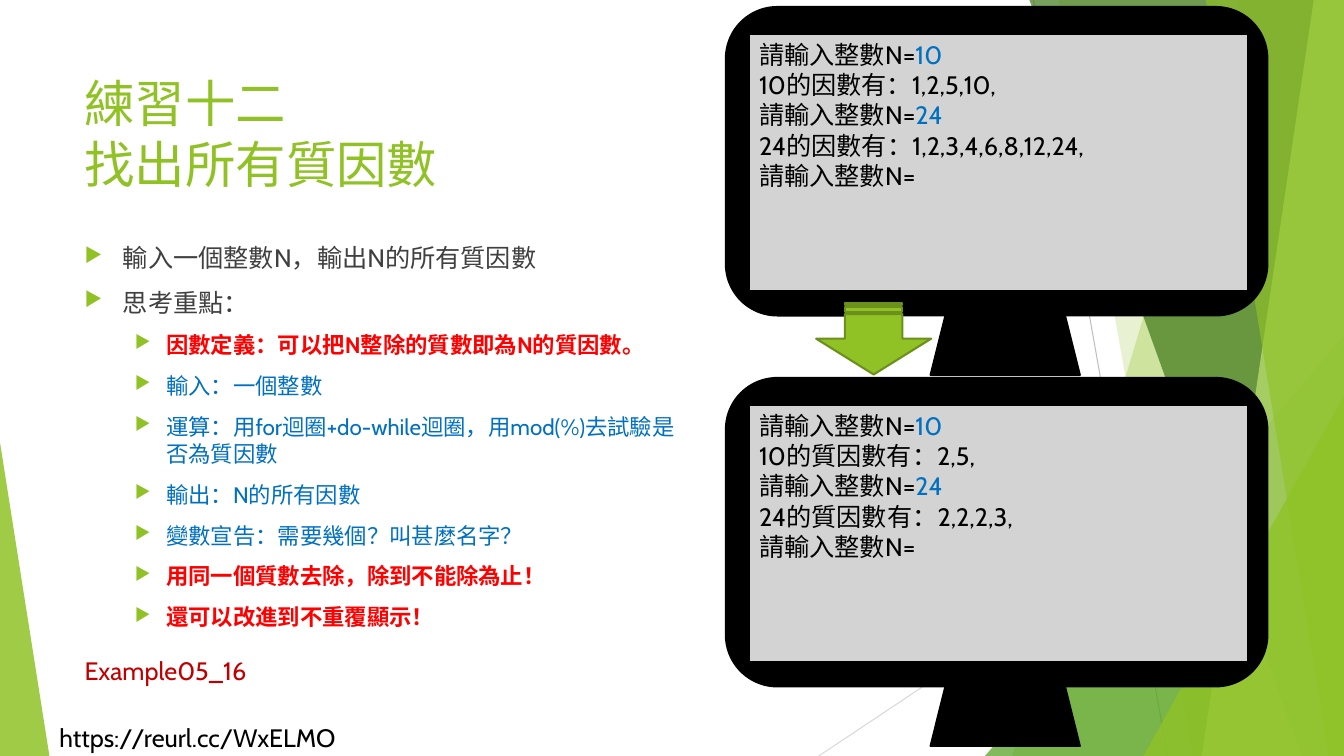
from lxml.etree import SubElement
from pptx import Presentation
from pptx.dml.color import RGBColor
from pptx.enum.shapes import MSO_CONNECTOR, MSO_SHAPE
from pptx.enum.text import MSO_ANCHOR, PP_ALIGN
from pptx.oxml.ns import qn
from pptx.util import Inches, Pt

WIDE, HIGH = 13.33, 7.5
LIME, BLACK, GRAY = "90C226", "000000", "404040"
BLUE, RED = "0070C0", "FF0000"


def color(code):
    return RGBColor.from_string(code)


def paint(shape, fill, alpha=100, line=None):
    shape.shadow.inherit = False
    shape.fill.solid()
    shape.fill.fore_color.rgb = color(fill)
    if alpha < 100:
        tint = shape.fill._xPr.find(qn("a:solidFill"))[0]
        SubElement(tint, qn("a:alpha"), val=str(alpha * 1000))
    if line:
        shape.line.color.rgb = color(line)
        shape.line.width = Pt(1.5)
    else:
        shape.line.fill.background()


def preset(slide, kind, box, fill, alpha=100, line=None):
    shape = slide.shapes.add_shape(kind, *map(Inches, box))
    paint(shape, fill, alpha, line)
    return shape


def style(para, size, code, bold=False):
    font = para.font
    font.name, font.size, font.bold = "Cabin", Pt(size), bold
    font.color.rgb = color(code)


def label(slide, box, text, size, code, wrap=False):
    frame = slide.shapes.add_textbox(*map(Inches, box)).text_frame
    frame.word_wrap = wrap
    para = frame.paragraphs[0]
    para.text = text
    style(para, size, code)


def bullet(para, left, hang):
    props = para._p.get_or_add_pPr()
    props.set("marL", str(Inches(left)))
    props.set("indent", str(-Inches(hang)))
    tint = SubElement(props, qn("a:buClr"))
    SubElement(tint, qn("a:srgbClr"), val=LIME)
    SubElement(props, qn("a:buSzPct"), val="80000")
    SubElement(props, qn("a:buChar"), char="▶")


def backdrop(slide):
    """Thin lines and translucent green facets at both edges."""
    for x1, y1, x2, y2, code in (
        (10.25, 0, 11.58, HIGH, "BFBFBF"),
        (WIDE, 4.03, 8.12, HIGH, "D9D9D9"),
    ):
        line = slide.shapes.add_connector(
            MSO_CONNECTOR.STRAIGHT, *map(Inches, (x1, y1, x2, y2)))
        line.line.color.rgb = color(code)
        line.line.width = Pt(0.75)
        SubElement(line._element.spPr, qn("a:effectLst"))

    def facet(top, base, code, alpha):
        """Fill from a slanted left side to the right edge of the slide."""
        pen = slide.shapes.build_freeform(Inches(top), 0)
        pen.add_line_segments([(Inches(x), Inches(y)) for x, y in (
            (WIDE, 0), (WIDE, HIGH), (base, HIGH))])
        paint(pen.convert_to_shape(), code, alpha)

    def wedge(left, top, width, peak, code, alpha):
        """Triangle standing on the bottom edge of the slide."""
        shape = preset(slide, MSO_SHAPE.ISOSCELES_TRIANGLE,
                       (left, top, width, HIGH - top), code, alpha)
        shape.adjustments[0] = peak

    facet(12.28, 10.04, LIME, 30)
    facet(10.5, 11.83, LIME, 20)
    wedge(9.77, 3.33, 3.56, 1, "54A021", 72)
    facet(10.21, 12.91, "3F7819", 70)
    facet(13.03, 11.92, "C0E474", 70)
    facet(11.96, 13.18, LIME, 65)
    wedge(11.34, 3.93, 1.99, 1, LIME, 80)
    wedge(0, 4.39, 0.49, 0, LIME, 85)


def outline(slide, box, items):
    """Bulleted list of (level, text, colour, bold) items."""
    frame = slide.shapes.add_textbox(*map(Inches, box)).text_frame
    frame.word_wrap = True
    for i, (level, text, code, bold) in enumerate(items):
        para = frame.add_paragraph() if i else frame.paragraphs[0]
        para.text = text
        para.level = level
        if i:
            para.space_before = Pt(10)
        bullet(para, *((0.81, 0.31) if level else (0.38, 0.38)))
        style(para, 16 if level else 18, code, bold)


def monitor(slide, left, top, lines):
    """Computer screen; each line is (output, typed input)."""
    preset(slide, MSO_SHAPE.ROUNDED_RECTANGLE,
           (left, top, 5.37, 3.06), BLACK, line=BLACK)
    screen = preset(slide, MSO_SHAPE.RECTANGLE,
                    (left + 0.23, top + 0.27, 4.95, 2.55), "D3D3D3", line=BLACK)
    preset(slide, MSO_SHAPE.TRAPEZOID,
           (left + 2.03, top + 3.06, 1.48, 0.59), BLACK, line=BLACK)
    frame = screen.text_frame
    frame.word_wrap = True
    frame.vertical_anchor = MSO_ANCHOR.TOP
    for i, (text, typed) in enumerate(lines):
        para = frame.add_paragraph() if i else frame.paragraphs[0]
        para.alignment = PP_ALIGN.LEFT
        style(para, 18, BLACK)
        run = para.add_run()
        run.text = text
        run.font.color.rgb = color(BLACK)
        if typed:
            run = para.add_run()
            run.text = typed
            run.font.color.rgb = color(BLUE)


def session(word, answers):
    """Screen lines that ask for each number and list its factors."""
    ask = "請輸入整數N="
    lines = []
    for num, found in answers:
        lines += [(ask, num), (f"{num}的{word}有：{found}", "")]
    return lines + [(ask, "")]


def main():
    deck = Presentation()
    deck.slide_width, deck.slide_height = Inches(WIDE), Inches(HIGH)
    slide = deck.slides.add_slide(deck.slide_layouts[6])
    backdrop(slide)
    label(slide, (0.49, 7.12, 3.12, 0.4), "https://reurl.cc/WxELMO", 18, BLACK)
    label(slide, (0.74, 0.67, 9.4, 1.44), "練習十二\v找出所有質因數", 36, LIME, True)
    outline(slide, (0.74, 2.36, 6.27, 4.24), (
        (0, "輸入一個整數N，輸出N的所有質因數", GRAY, False),
        (0, "思考重點：", GRAY, False),
        (1, "因數定義：可以把N整除的質數即為N的質因數。", RED, True),
        (1, "輸入：一個整數", BLUE, False),
        (1, "運算：用for迴圈+do-while迴圈，用mod(%)去試驗是否為質因數", BLUE, False),
        (1, "輸出：N的所有因數", BLUE, False),
        (1, "變數宣告：需要幾個？叫甚麼名字？", BLUE, False),
        (1, "用同一個質數去除，除到不能除為止！", RED, True),
        (1, "還可以改進到不重覆顯示！", RED, True),
    ))
    monitor(slide, 7.2, 3.75, session(
        "質因數", (("10", "2,5,"), ("24", "2,2,2,3,"))))
    monitor(slide, 7.2, 0.07, session(
        "因數", (("10", "1,2,5,10,"), ("24", "1,2,3,4,6,8,12,24,"))))
    label(slide, (0.74, 6.45, 1.83, 0.4), "Example05_16", 18, "C00000")
    arrow = preset(slide, MSO_SHAPE.STRIPED_RIGHT_ARROW,
                   (8.31, 2.79, 0.71, 1.14), LIME, line="6B901C")
    arrow.rotation = 90
    deck.save("out.pptx")


if __name__ == "__main__":
    main()
